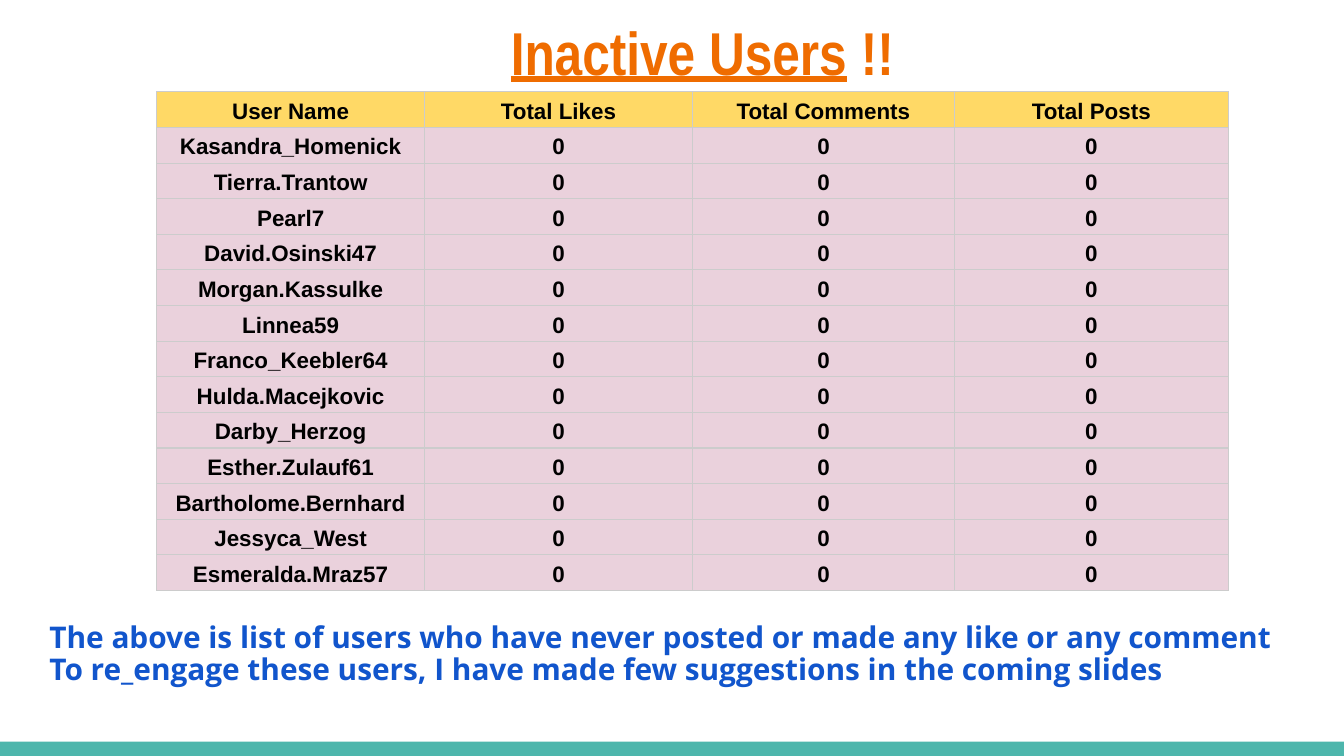
from lxml import etree
from pptx import Presentation
from pptx.dml.color import RGBColor
from pptx.enum.shapes import MSO_SHAPE
from pptx.enum.text import MSO_ANCHOR, PP_ALIGN
from pptx.oxml.ns import qn
from pptx.util import Pt

RECT = MSO_SHAPE.RECTANGLE
MIDDLE = MSO_ANCHOR.MIDDLE
CENTER = PP_ALIGN.CENTER


def paint(target, color):
    target.solid()
    target.fore_color.rgb = RGBColor.from_string(color)


def write(para, text, font, size, color, line=None):
    run = para.add_run()
    run.text = text
    run.font.name = font
    run.font.size = Pt(size)
    run.font.bold = True
    run.font.underline = line
    run.font.color.rgb = RGBColor.from_string(color)


deck = Presentation()
deck.slide_width = Pt(720)
deck.slide_height = Pt(405)
slide = deck.slides.add_slide(deck.slide_layouts[6])
paint(slide.background.fill, "FFFFFF")

band = slide.shapes.add_shape(RECT, Pt(0), Pt(397.4), Pt(720), Pt(7.6))
band.shadow.inherit = False
paint(band.fill, "4DB6AC")
band.line.fill.background()

title = slide.shapes.add_textbox(Pt(160.6), Pt(0), Pt(431.3), Pt(55.4))
frame = title.text_frame
frame.word_wrap = True
frame.vertical_anchor = MIDDLE
frame.margin_top = frame.margin_bottom = Pt(7.2)
para = frame.paragraphs[0]
para.alignment = CENTER
write(para, "Inactive Users", "Arial Narrow", 32.4, "EF6C00", True)
write(para, " !!", "Arial Narrow", 32.4, "EF6C00")

heads = ["User Name", "Total Likes", "Total Comments", "Total Posts"]
users = [
    "Kasandra_Homenick", "Tierra.Trantow", "Pearl7", "David.Osinski47",
    "Morgan.Kassulke", "Linnea59", "Franco_Keebler64", "Hulda.Macejkovic",
    "Darby_Herzog", "Esther.Zulauf61", "Bartholome.Bernhard",
    "Jessyca_West", "Esmeralda.Mraz57",
]
rows = [heads] + [[user, "0", "0", "0"] for user in users]
widths = [143.5, 143.5, 140.4, 146.6]
height = 18.4

table = slide.shapes.add_table(
    len(rows), len(heads), Pt(84), Pt(49.2), Pt(sum(widths)), Pt(height * len(rows))
).table
for col, width in zip(table.columns, widths):
    col.width = Pt(width)
for r, row in enumerate(rows):
    table.rows[r].height = Pt(height)
    for c, text in enumerate(row):
        cell = table.cell(r, c)
        cell.vertical_anchor = MIDDLE
        cell.margin_left = cell.margin_right = Pt(2)
        cell.margin_top = cell.margin_bottom = Pt(1.25)
        para = cell.text_frame.paragraphs[0]
        para.alignment = CENTER
        para.line_spacing = 1.15
        write(para, text, "Arial", 12, "000000")
        props = cell._tc.get_or_add_tcPr()
        for side in ("lnL", "lnR", "lnT", "lnB"):
            edge = etree.SubElement(props, qn("a:" + side), w=str(Pt(0.67)))
            fill = etree.SubElement(edge, qn("a:solidFill"))
            etree.SubElement(fill, qn("a:srgbClr"), val="CCCCCC")
        paint(cell.fill, "EAD1DC" if r else "FFD966")

note = slide.shapes.add_textbox(Pt(19.4), Pt(326.2), Pt(671), Pt(44.6))
frame = note.text_frame
frame.word_wrap = True
frame.margin_top = frame.margin_bottom = Pt(7.2)
lines = [
    "The above is list of users who have never posted or made any like or any comment",
    "To re_engage these users, I have made few suggestions in the coming slides",
]
for i, text in enumerate(lines):
    para = frame.add_paragraph() if i else frame.paragraphs[0]
    para.line_spacing = 0.9
    write(para, text, "Open Sans", 16, "1155CC")

deck.save("out.pptx")
